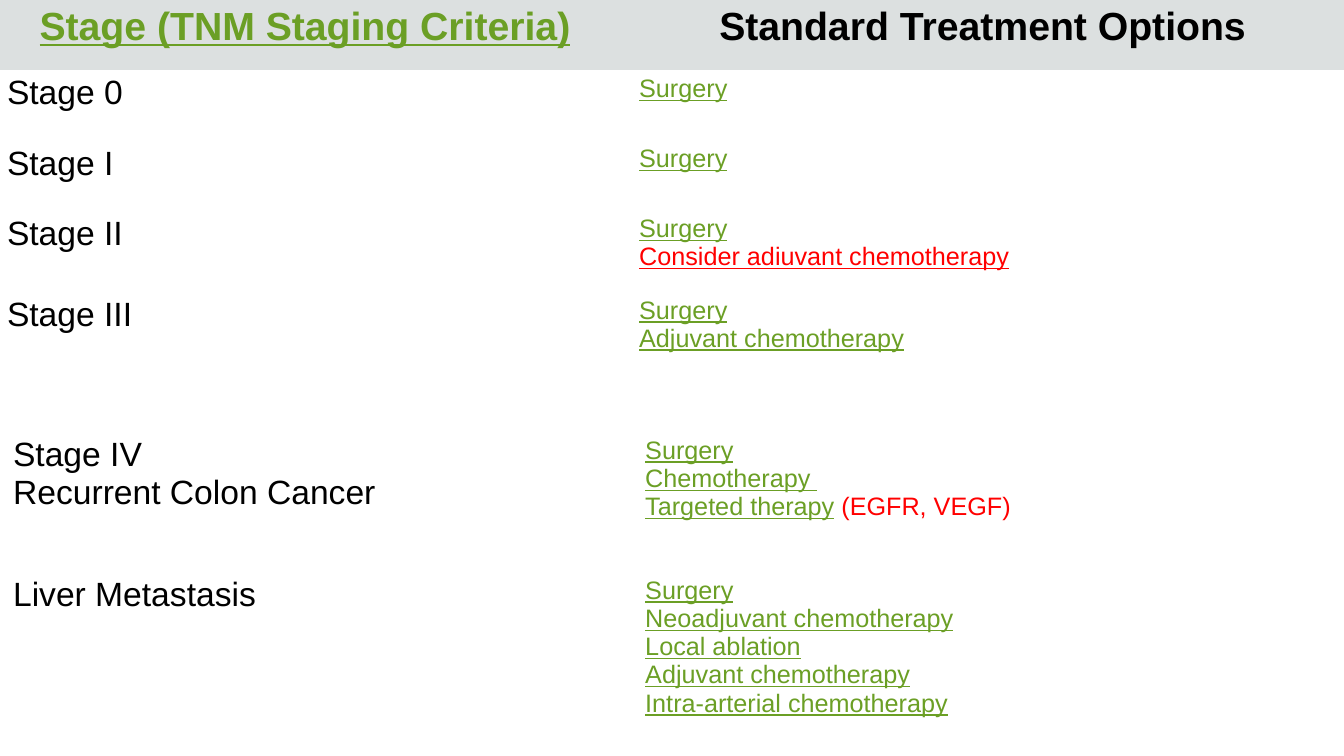
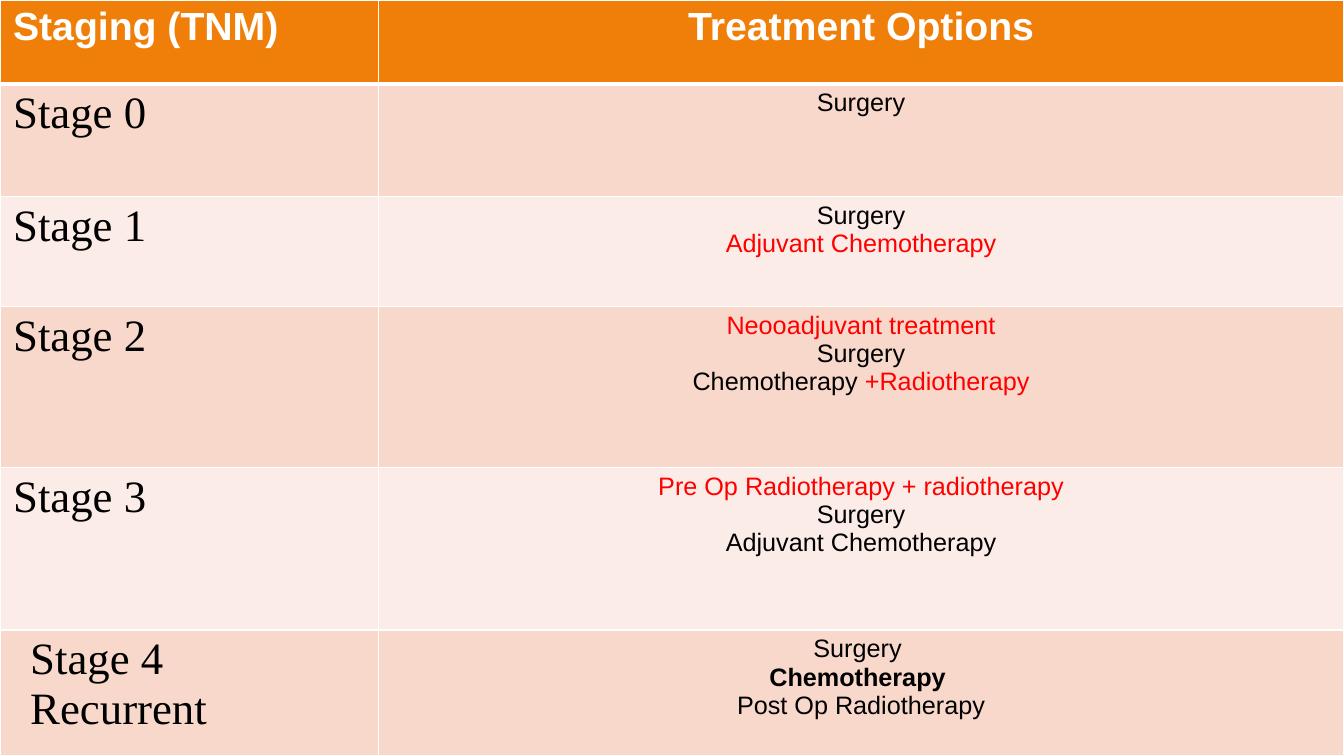
import pptx
import pptx.dml.color
import pptx.enum.text
import pptx.oxml
import pptx.oxml.ns
import pptx.util

Inches = pptx.util.Inches
Pt = pptx.util.Pt
RGBColor = pptx.dml.color.RGBColor
CENTER = pptx.enum.text.PP_ALIGN.CENTER
LEFT = pptx.enum.text.PP_ALIGN.LEFT

NO_GRID_STYLE = "{2D5ABB26-0587-4C30-8999-92F81FD0307C}"
COLORS = {
    "black": "000000", "white": "FFFFFF", "red": "FF0000", "green": "6B9F25",
    "orange": "F07F09", "grey": "DCE0E0", "rose": "F9D8CC", "blush": "FCECE7",
}
STYLES = {
    "plain": ("black", False, False),
    "strong": ("black", True, False),
    "alert": ("red", False, False),
    "link": ("green", False, True),
    "alert link": ("red", False, True),
    "heading": ("white", True, False),
    "heading link": ("green", True, True),
}


def style_font(font, style):
    color, font.bold, font.underline = STYLES[style]
    font.color.rgb = RGBColor.from_string(COLORS[color])


def add_borders(cell, color, bottom_width):
    properties = cell._tc.get_or_add_tcPr()
    widths = {"lnL": 1, "lnR": 1, "lnT": 1, "lnB": bottom_width}
    for index, (side, width) in enumerate(widths.items()):
        line = pptx.oxml.parse_xml(
            f'<a:{side} {pptx.oxml.ns.nsdecls("a")} w="{Pt(width)}"><a:solidFill>'
            f'<a:srgbClr val="{COLORS[color]}"/></a:solidFill></a:{side}>')
        properties.insert(index, line)


TABLES = [
    {
        "columns": [6.27, 7.06],
        "heights": [0.69, 0.7, 0.69, 0.81, 1.39, 1.39, 1.83],
        "fills": ["grey"] + ["white"] * 6,
        "insets": [0.07] * 5 + [0.13] * 2,
        "extra_left": {},
        "extra_right": {(0, 0): 0.22, (0, 1): 0.11},
        "stage_font": ("Arial", 24),
        "option_align": LEFT,
        "border": None,
        "rows": [
            ([[("Stage (TNM Staging Criteria)", "heading link")]],
             [[("Standard Treatment Options", "strong")]]),
            ([[("Stage 0", "plain")]], [[("Surgery", "link")]]),
            ([[("Stage I", "plain")]], [[("Surgery", "link")]]),
            ([[("Stage II", "plain")]],
             [[("Surgery", "link")],
              [("Consider adiuvant chemotherapy", "alert link")]]),
            ([[("Stage III", "plain")]],
             [[("Surgery", "link")], [("Adjuvant chemotherapy", "link")]]),
            ([[("Stage IV", "plain")], [("Recurrent Colon Cancer", "plain")]],
             [[("Surgery", "link")], [("Chemotherapy ", "link")],
              [("Targeted therapy", "link"), (" (EGFR, VEGF)", "alert")]]),
            ([[("Liver Metastasis", "plain")]],
             [[("Surgery", "link")], [("Neoadjuvant chemotherapy", "link")],
              [("Local ablation", "link")], [("Adjuvant chemotherapy", "link")],
              [("Intra-arterial chemotherapy", "link")]]),
        ],
    },
    {
        "columns": [3.75, 9.58],
        "heights": [0.83, 1.12, 1.09, 1.6, 1.61, 1.25],
        "fills": ["orange", "rose", "blush", "rose", "blush", "rose"],
        "insets": [0.13] * 6,
        "extra_left": {(5, 0): 0.17},
        "extra_right": {},
        "stage_font": ("Times New Roman", 32),
        "option_align": CENTER,
        "border": "white",
        "rows": [
            ([[("Staging (TNM)", "heading")]],
             [[("Treatment Options", "heading")]]),
            ([[("Stage 0", "plain")]], [[("Surgery", "plain")]]),
            ([[("Stage 1", "plain")]],
             [[("Surgery", "plain")], [("Adjuvant Chemotherapy", "alert")]]),
            ([[("Stage 2", "plain")]],
             [[("Neooadjuvant treatment", "alert")], [("Surgery", "plain")],
              [("Chemotherapy", "plain"), (" +Radiotherapy", "alert")]]),
            ([[("Stage 3", "plain")]],
             [[("Pre Op Radiotherapy + radiotherapy", "alert")],
              [("Surgery", "plain")], [("Adjuvant Chemotherapy", "plain")]]),
            ([[("Stage 4", "plain")], [("Recurrent", "plain")]],
             [[("Surgery ", "plain")], [("Chemotherapy ", "strong")],
              [("Post Op Radiotherapy", "plain")]]),
        ],
    },
]

deck = pptx.Presentation()
deck.slide_width = Inches(13.33)
deck.slide_height = Inches(7.5)
blank_layout = deck.slide_layouts.get_by_name("Blank")

for design in TABLES:
    page = deck.slides.add_slide(blank_layout)
    frame = page.shapes.add_table(
        len(design["rows"]), 2, 0, 0, deck.slide_width, deck.slide_height)
    table = frame.table
    table.horz_banding = False
    table._tbl.tblPr.find(pptx.oxml.ns.qn("a:tableStyleId")).text = NO_GRID_STYLE
    for column, width in zip(table.columns, design["columns"]):
        column.width = Inches(width)
    for row, height in zip(table.rows, design["heights"]):
        row.height = Inches(height)

    for row_index, row_texts in enumerate(design["rows"]):
        is_header = row_index == 0
        inset = design["insets"][row_index]
        for column_index, lines in enumerate(row_texts):
            place = (row_index, column_index)
            cell = table.cell(*place)
            cell.fill.solid()
            cell.fill.fore_color.rgb = RGBColor.from_string(
                COLORS[design["fills"][row_index]])
            cell.margin_left = Inches(inset + design["extra_left"].get(place, 0))
            cell.margin_right = Inches(inset + design["extra_right"].get(place, 0))
            cell.margin_top = cell.margin_bottom = Inches(0.05)
            if design["border"]:
                add_borders(cell, design["border"], 3 if is_header else 1)

            if is_header:
                font_name, font_size = "Arial", 28
            elif column_index == 0:
                font_name, font_size = design["stage_font"]
            else:
                font_name, font_size = "Arial", 18
            if column_index == 1:
                align = CENTER if is_header else design["option_align"]
            else:
                align = CENTER if is_header and not design["border"] else LEFT

            for line_index, spans in enumerate(lines):
                box = cell.text_frame
                para = box.paragraphs[0] if line_index == 0 else box.add_paragraph()
                para.alignment = align
                para.font.name = font_name
                para.font.size = Pt(font_size)
                if len(spans) == 1:
                    style_font(para.font, spans[0][1])
                for text, style in spans:
                    span = para.add_run()
                    span.text = text
                    if len(spans) > 1:
                        style_font(span.font, style)

deck.save("out.pptx")
